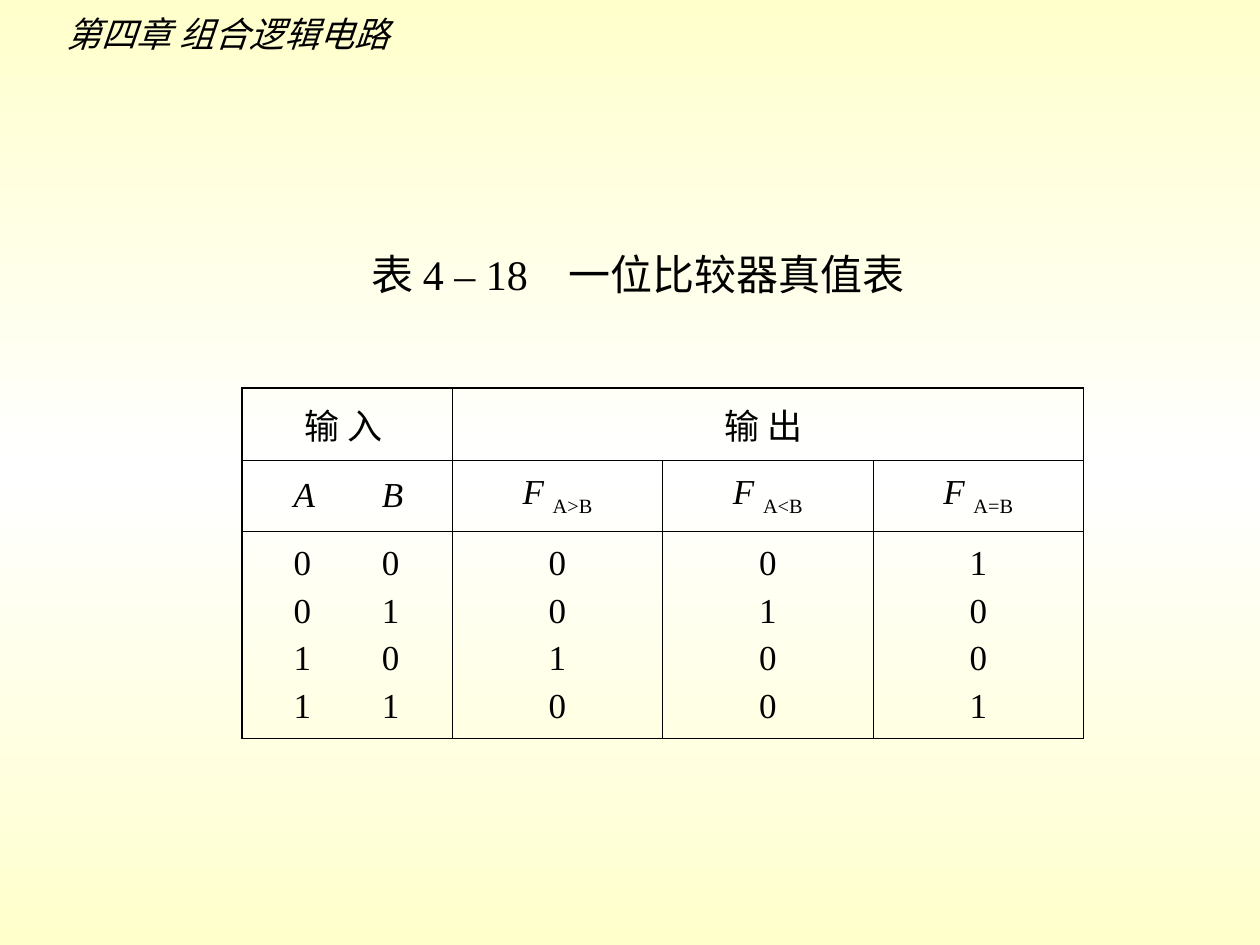
from copy import deepcopy

from lxml.etree import SubElement
from pptx import Presentation
from pptx.dml.color import RGBColor
from pptx.enum.text import MSO_ANCHOR, MSO_AUTO_SIZE, PP_ALIGN
from pptx.oxml.ns import qn
from pptx.util import Inches, Pt

WIDTH, HEIGHT = 10, 7.5
CJK, LATIN = "Noto Sans CJK SC", "Times New Roman"
BLACK, CREAM, WHITE = "000000", "FFFFCC", "FFFFFF"
COL_W, ROW_H = 1.67, (0.57, 0.57, 1.64)
INNER, OUTER = 0.45, 1.08
INPUT_INSET, INPUT_GAP = 0.41, 0.7
INPUTS = ["0\t0", "0\t1", "1\t0", "1\t1"]
OUTPUTS = {"A>B": "0010", "A<B": "0100", "A=B": "1001"}


def rgb(color):
    return RGBColor.from_string(color)


def set_background(slide, colors):
    """Vertical gradient with evenly spaced colours."""
    fill = slide.background.fill
    fill.gradient()
    fill.gradient_angle = 270
    stop_list = slide.element.find(".//" + qn("a:gsLst"))
    stop_list.append(deepcopy(stop_list[0]))
    for i, (stop, color) in enumerate(zip(fill.gradient_stops, colors)):
        stop.color.rgb = rgb(color)
        stop.position = i / (len(colors) - 1)


def add_run(p, text, size=20, subscript=False, **formats):
    r = p.add_run()
    r.text = text
    for name, value in {"name": LATIN, "size": Pt(size), **formats}.items():
        setattr(r.font, name, value)
    r.font.color.rgb = rgb(BLACK)
    SubElement(r.font._element, qn("a:ea"), typeface=CJK)
    if subscript:
        r.font._element.set("baseline", "-25000")


def add_tab(p, position):
    tabs = SubElement(p._p.get_or_add_pPr(), qn("a:tabLst"))
    SubElement(tabs, qn("a:tab"), pos=str(Inches(position)), algn="l")


def add_label(slide, box, text, tab=None, **formats):
    """Unwrapped text; box is left, top, width and height as slide shares."""
    x, y, w, h = box
    tf = slide.shapes.add_textbox(Inches(x * WIDTH), Inches(y * HEIGHT),
                                  Inches(w * WIDTH), Inches(h * HEIGHT)).text_frame
    tf.word_wrap = False
    tf.auto_size = MSO_AUTO_SIZE.SHAPE_TO_FIT_TEXT
    p = tf.paragraphs[0]
    if tab:
        add_tab(p, tab)
    add_run(p, text, **formats)


def set_borders(cell, widths):
    """Widths in points: left, right, top, bottom."""
    tc_pr = cell._tc.get_or_add_tcPr()
    for i, (side, width) in enumerate(zip("LRTB", widths)):
        line = SubElement(tc_pr, qn(f"a:ln{side}"), w=str(Pt(width)))
        fill = SubElement(line, qn("a:solidFill"))
        SubElement(fill, qn("a:srgbClr"), val=BLACK)
        tc_pr.insert(i, line)


def fill_cell(cell, lines, input_pair=False, **formats):
    """Each line is a string, or a (symbol, subscript) pair."""
    cell.vertical_anchor = MSO_ANCHOR.MIDDLE
    if input_pair:
        cell.margin_left = Inches(INPUT_INSET)
    tf = cell.text_frame
    for i, line in enumerate(lines):
        p = tf.add_paragraph() if i else tf.paragraphs[0]
        p.alignment = PP_ALIGN.LEFT if input_pair else PP_ALIGN.CENTER
        if i:
            p.space_before = Pt(5)
        if input_pair:
            add_tab(p, INPUT_GAP)
        if isinstance(line, tuple):
            add_run(p, line[0], italic=True)
            add_run(p, line[1], subscript=True)
        else:
            add_run(p, line, **formats)


def add_truth_table(slide, left, top):
    n_rows, n_cols = len(ROW_H), 1 + len(OUTPUTS)
    table = slide.shapes.add_table(n_rows, n_cols, Inches(left), Inches(top),
                                   Inches(n_cols * COL_W), Inches(sum(ROW_H))).table
    table.first_row = table.horz_banding = False
    for column in table.columns:
        column.width = Inches(COL_W)
    for row, height in zip(table.rows, ROW_H):
        row.height = Inches(height)
    for r in range(n_rows):
        for c in range(n_cols):
            cell = table.cell(r, c)
            cell.fill.background()
            edges = (c == 0, c == n_cols - 1, r == 0, r == n_rows - 1)
            set_borders(cell, [OUTER if edge else INNER for edge in edges])
    table.cell(0, 1).merge(table.cell(0, n_cols - 1))
    fill_cell(table.cell(0, 0), ["输 入 "])
    fill_cell(table.cell(0, 1), ["输 出 "])
    fill_cell(table.cell(1, 0), ["A\tB"], input_pair=True, italic=True)
    fill_cell(table.cell(2, 0), INPUTS, input_pair=True)
    for c, (relation, values) in enumerate(OUTPUTS.items(), 1):
        fill_cell(table.cell(1, c), [("F ", relation)])
        fill_cell(table.cell(2, c), values)


def main():
    prs = Presentation()
    prs.slide_width, prs.slide_height = Inches(WIDTH), Inches(HEIGHT)
    slide = prs.slides.add_slide(prs.slide_layouts[6])
    set_background(slide, [CREAM, WHITE, CREAM])
    add_label(slide, (0.043, 0.007, 0.283, 0.059), "第四章 组合逻辑电路",
              name=CJK, italic=True)
    add_truth_table(slide, 1.92, 3.08)
    add_label(slide, (0.285, 0.256, 0.451, 0.067), "表 4 – 18\t一位比较器真值表",
              tab=1.56, size=24)
    prs.save("out.pptx")


if __name__ == "__main__":
    main()
